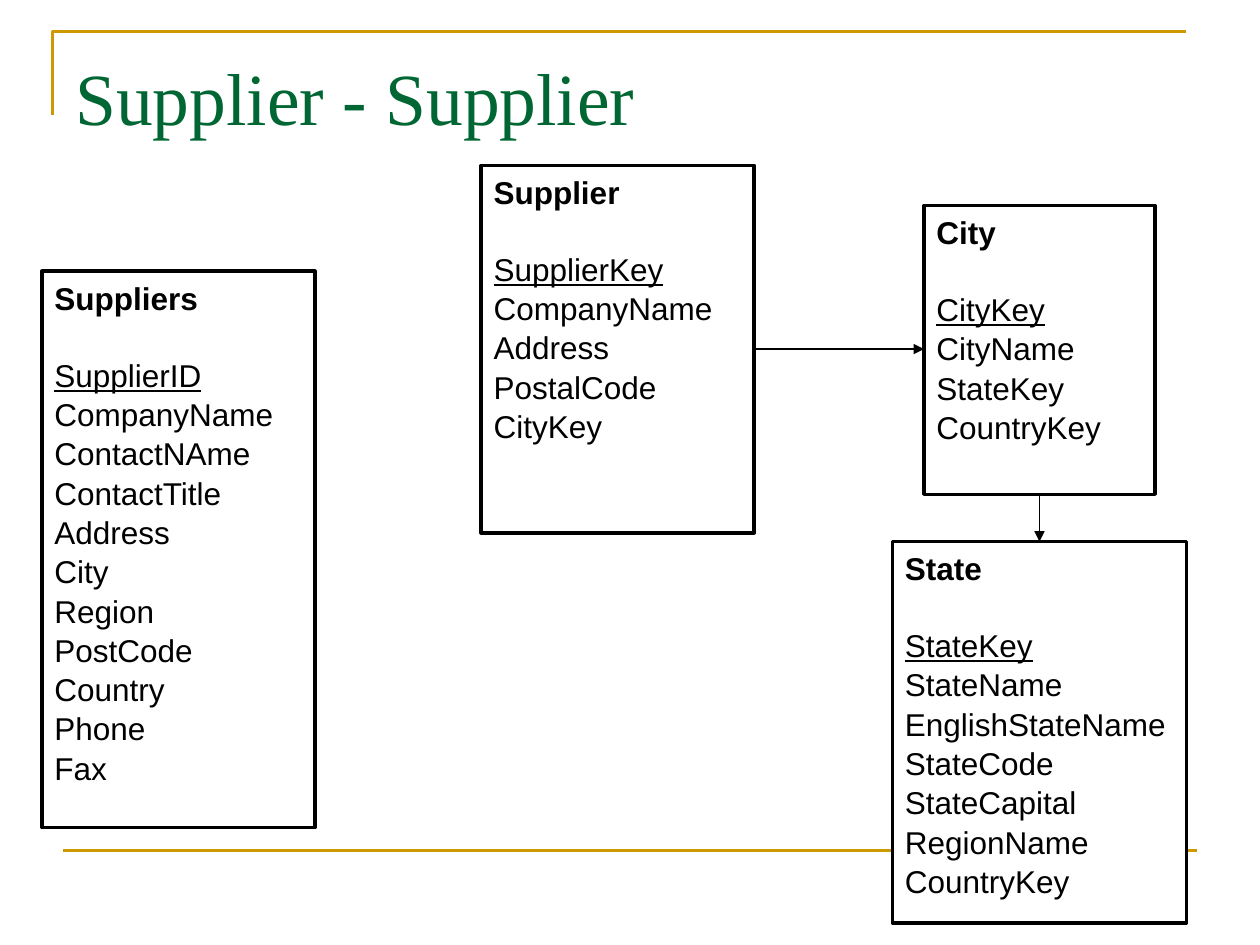
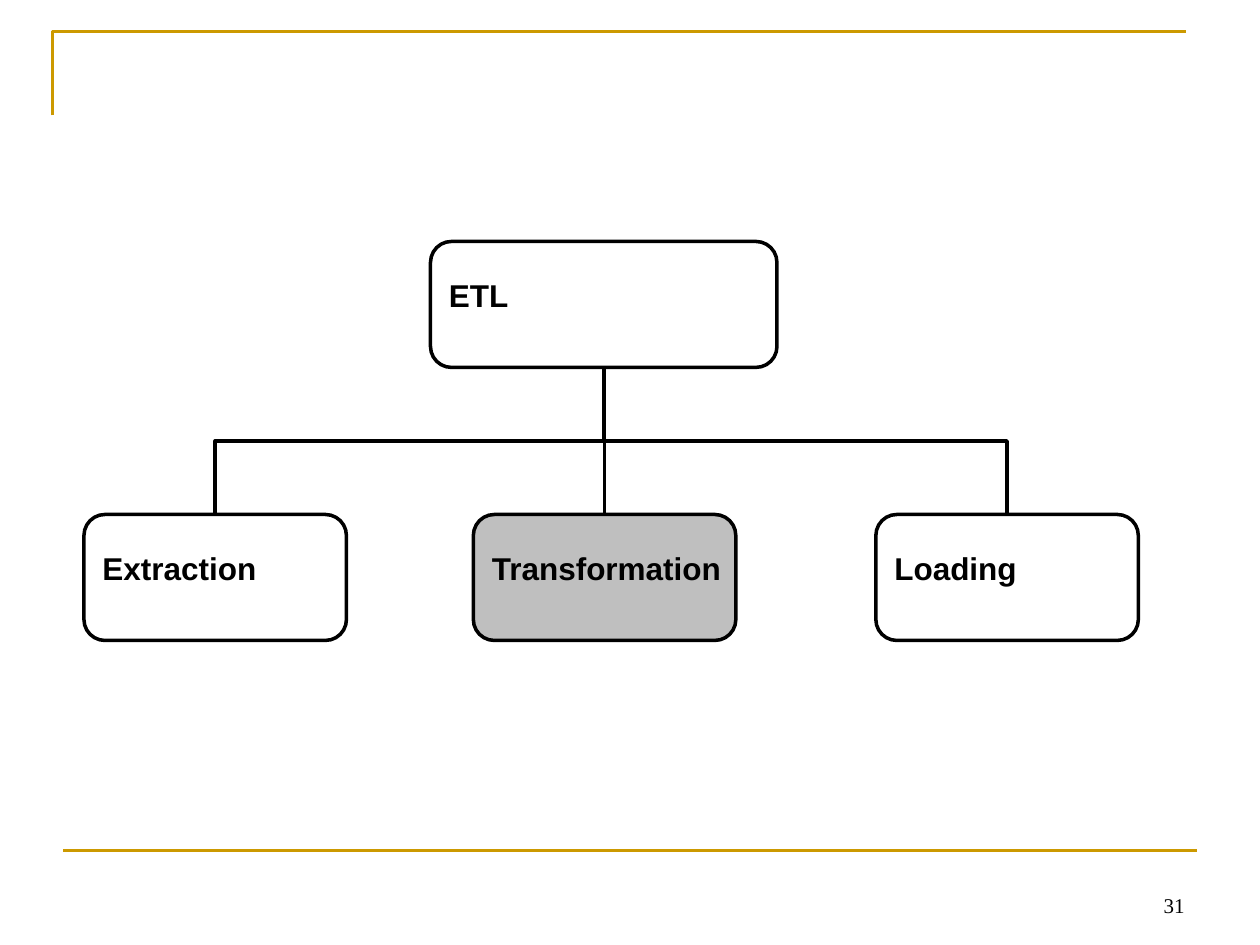
from dataclasses import dataclass

from pptx import Presentation
from pptx import util as u
from pptx.dml.color import RGBColor
from pptx.enum import shapes, text
from pptx.oxml import ns, xmlchemy

Pt = u.Pt
COLORS = {"rule": "CC9900", "title": "006633", "ink": "000000",
          "paper": "FFFFFF", "current": "BFBFBF"}
SERIF, SANS = "Times New Roman", "Arial"
LINE_SPACING = 1.04
BODY_SIZE = 18
BLANK_LAYOUT = 6


@dataclass(frozen=True)
class Box:
    """A rectangle in points."""
    left: float
    top: float
    width: float
    height: float

    @property
    def right(self) -> float:
        return self.left + self.width

    @property
    def bottom(self) -> float:
        return self.top + self.height

    @property
    def center(self) -> float:
        return self.left + self.width / 2

    @property
    def middle(self) -> float:
        return self.top + self.height / 2

    def lengths(self) -> tuple:
        return Pt(self.left), Pt(self.top), Pt(self.width), Pt(self.height)


@dataclass(frozen=True)
class Entity:
    name: str
    key: str
    fields: tuple[str, ...]
    box: Box


@dataclass(frozen=True)
class Stage:
    name: str
    box: Box
    fill: str = "paper"


SUPPLIERS = Entity("Suppliers", "SupplierID",
                   ("CompanyName", "ContactNAme", "ContactTitle", "Address", "City",
                    "Region", "PostCode", "Country", "Phone", "Fax"),
                   Box(24, 155, 156, 318))
SUPPLIER = Entity("Supplier", "SupplierKey",
                  ("CompanyName", "Address", "PostalCode", "CityKey"),
                  Box(275, 94.5, 156, 210))
CITY = Entity("City", "CityKey", ("CityName", "StateKey", "CountryKey"),
              Box(528, 117.5, 132, 165))
STATE = Entity("State", "StateKey",
               ("StateName", "EnglishStateName", "StateCode", "StateCapital",
                "RegionName", "CountryKey"),
               Box(510, 309.5, 168, 218))

ETL = Stage("ETL", Box(246, 138, 198, 72))
STEPS = [Stage("Extraction", Box(48, 294, 150, 72)),
         Stage("Transformation", Box(270.5, 294, 150, 72), "current"),
         Stage("Loading", Box(500.5, 294, 150, 72))]


def color(name: str) -> RGBColor:
    return RGBColor.from_string(COLORS[name])


def style_line(shape, name: str, width: float) -> None:
    shape.line.color.rgb = color(name)
    shape.line.width = Pt(width)


def format_paragraph(paragraph, size: float, font: str = SANS, ink: str = "ink",
                     bold: bool = False, underline: bool = False,
                     align=text.PP_ALIGN.LEFT) -> None:
    paragraph.alignment = align
    for run in paragraph.runs:
        run.font.size = Pt(size)
        run.font.name = font
        run.font.color.rgb = color(ink)
        run.font.bold = bold
        run.font.underline = underline


def add_text(slide, words: str, box: Box, **formatting):
    frame = slide.shapes.add_textbox(*box.lengths()).text_frame
    frame.word_wrap = True
    frame.text = words
    format_paragraph(frame.paragraphs[0], font=SERIF, **formatting)
    return frame


def add_title(slide, words: str) -> None:
    frame = add_text(slide, words, Box(36, 21.5, 648, 90), size=42, ink="title")
    frame.margin_top = Pt(8)


def add_page_number(slide, number: int) -> None:
    frame = add_text(slide, str(number), Box(516, 492, 168, 36), size=12,
                     align=text.PP_ALIGN.RIGHT)
    frame.vertical_anchor = text.MSO_ANCHOR.BOTTOM


def add_line(slide, start: tuple[float, float], end: tuple[float, float],
             name: str = "ink", width: float = 0.75,
             kind=shapes.MSO_CONNECTOR.STRAIGHT):
    connector = slide.shapes.add_connector(kind, *map(Pt, start + end))
    style_line(connector, name, width)
    connector._element.spPr.append(xmlchemy.OxmlElement("a:effectLst"))
    return connector


def add_arrow(slide, start: tuple[float, float], end: tuple[float, float]) -> None:
    connector = add_line(slide, start, end)
    head = xmlchemy.OxmlElement("a:tailEnd")
    head.set("type", "triangle")
    connector.line._get_or_add_ln().append(head)


def add_branch(slide, parent: Box, child: Box) -> None:
    """Elbow that leaves the parent downwards: a sideways elbow, turned."""
    drop, shift = child.top - parent.bottom, child.center - parent.center
    center, middle = parent.center + shift / 2, parent.bottom + drop / 2
    half_drop, half_shift = drop / 2, abs(shift) / 2
    rotation = 90
    if shift > 0:
        half_drop, rotation = -half_drop, 270
    connector = add_line(slide, (center - half_drop, middle - half_shift),
                         (center + half_drop, middle + half_shift),
                         width=2, kind=shapes.MSO_CONNECTOR.ELBOW)
    frame = connector._element.spPr.find(ns.qn("a:xfrm"))
    frame.set("rot", str(rotation * 60000))


def add_box(slide, kind, box: Box, fill: str):
    shape = slide.shapes.add_shape(kind, *box.lengths())
    shape.shadow.inherit = False
    shape.fill.solid()
    shape.fill.fore_color.rgb = color(fill)
    style_line(shape, "ink", 2)
    shape.text_frame.word_wrap = True
    shape.text_frame.vertical_anchor = text.MSO_ANCHOR.TOP
    return shape


def add_entity(slide, entity: Entity) -> None:
    shape = add_box(slide, shapes.MSO_SHAPE.RECTANGLE, entity.box, "paper")
    frame = shape.text_frame
    frame.text = "\n".join((entity.name, entity.key) + entity.fields)
    for index, paragraph in enumerate(frame.paragraphs):
        paragraph.line_spacing = LINE_SPACING
        format_paragraph(paragraph, BODY_SIZE, bold=index == 0, underline=index == 1)
    frame.paragraphs[1].space_before = Pt(21.5)


def add_stage(slide, stage: Stage) -> None:
    shape = add_box(slide, shapes.MSO_SHAPE.ROUNDED_RECTANGLE, stage.box, stage.fill)
    frame = shape.text_frame
    frame.margin_top, frame.margin_right = Pt(15.5), Pt(0)
    frame.text = stage.name
    frame.paragraphs[0].line_spacing = LINE_SPACING
    format_paragraph(frame.paragraphs[0], BODY_SIZE, bold=True)


def add_slide(presentation):
    """Blank slide with the gold corner and the footer rule."""
    slide = presentation.slides.add_slide(presentation.slide_layouts[BLANK_LAYOUT])
    builder = slide.shapes.build_freeform(Pt(30), Pt(66))
    builder.add_line_segments([(Pt(30), Pt(18)), (Pt(678), Pt(18))], close=False)
    corner = builder.convert_to_shape()
    corner.shadow.inherit = False
    corner.fill.background()
    style_line(corner, "rule", 1.5)
    add_line(slide, (36, 486), (684, 486), "rule", 1.5)
    return slide


def build_supplier_slide(presentation) -> None:
    slide = add_slide(presentation)
    add_title(slide, "Supplier - Supplier")
    for entity in (SUPPLIERS, SUPPLIER, CITY, STATE):
        add_entity(slide, entity)
    supplier, city, state = SUPPLIER.box, CITY.box, STATE.box
    add_arrow(slide, (supplier.right, supplier.middle), (city.left, supplier.middle))
    add_arrow(slide, (city.center, city.bottom), (city.center, state.top))


def build_etl_slide(presentation) -> None:
    slide = add_slide(presentation)
    add_page_number(slide, 31)
    for stage in [ETL] + STEPS:
        add_stage(slide, stage)
    for step in STEPS:
        add_branch(slide, ETL.box, step.box)


def main() -> None:
    presentation = Presentation()
    presentation.slide_width, presentation.slide_height = Pt(720), Pt(540)
    build_supplier_slide(presentation)
    build_etl_slide(presentation)
    presentation.save("out.pptx")


if __name__ == "__main__":
    main()
